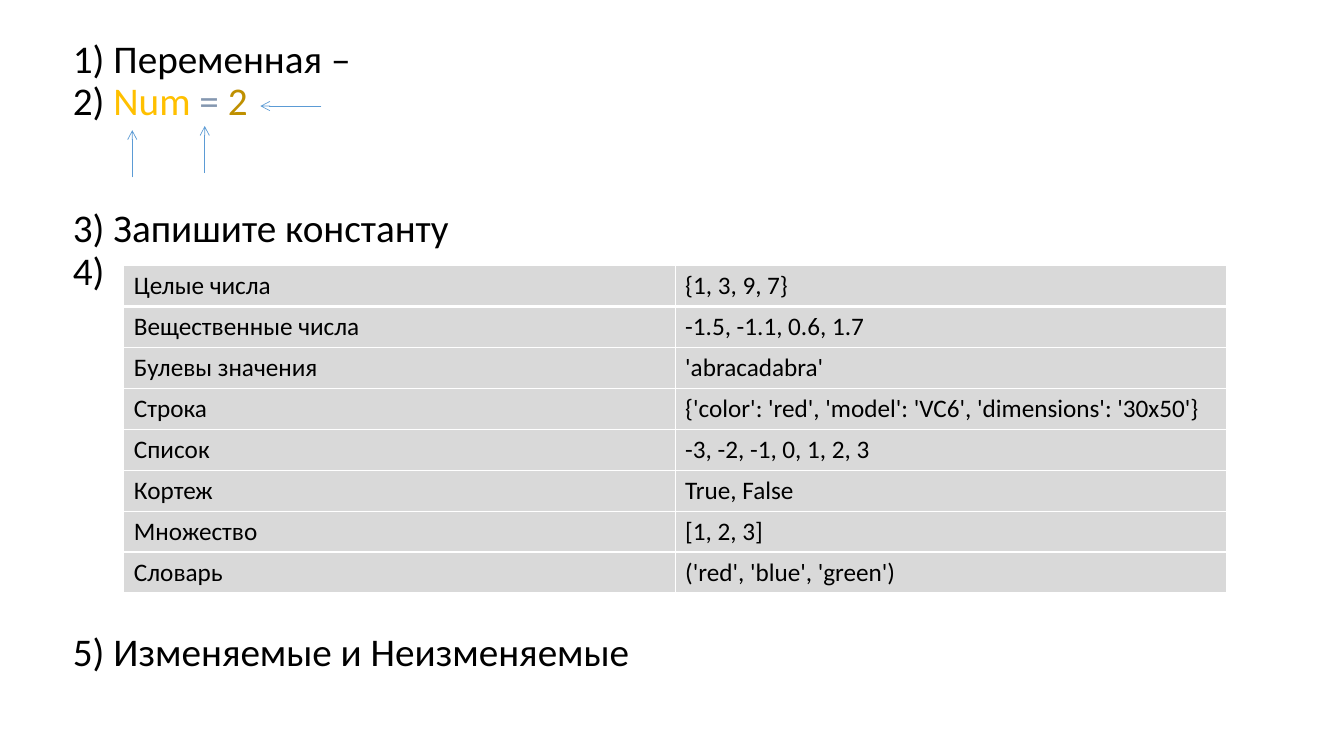
from lxml.etree import SubElement as Sub
from pptx import Presentation
from pptx.dml.color import RGBColor as RGB
from pptx.enum.shapes import MSO_CONNECTOR as Conn
from pptx.enum.text import MSO_ANCHOR as Anchor
from pptx.oxml.ns import qn
from pptx.util import Emu, Pt

SCALE = 9525
BLACK = RGB(0x00, 0x00, 0x00)
WHITE = RGB(0xFF, 0xFF, 0xFF)
GOLD = RGB(0xFF, 0xC0, 0x00)
SLATE = RGB(0x84, 0x97, 0xB0)
OCHRE = RGB(0xBF, 0x90, 0x00)
BLUE = RGB(0x5B, 0x9B, 0xD5)
GREY = RGB(0xD9, 0xD9, 0xD9)

# Each task: space before in points, then its coloured pieces
TASKS = [
    (0, [("1) Переменная –", BLACK)]),
    (0, [("2) ", BLACK), ("Num ", GOLD), ("= ", SLATE), ("2", OCHRE)]),
    (60.5, [("3) Запишите константу", BLACK)]),
    (0, [("4)", BLACK)]),
    (242, [("5) Изменяемые и Неизменяемые", BLACK)]),
]
ARROWS = [(126, 169, 126, 124), (195, 165, 195, 120), (306, 101, 248, 101)]
TYPES = [
    ("Целые числа", "{1, 3, 9, 7}"),
    ("Вещественные числа", "-1.5, -1.1, 0.6, 1.7"),
    ("Булевы значения", "'abracadabra'"),
    ("Строка", "{'color': 'red', 'model': 'VC6', 'dimensions': '30x50'}"),
    ("Список", "-3, -2, -1, 0, 1, 2, 3"),
    ("Кортеж", "True, False"),
    ("Множество", "[1, 2, 3]"),
    ("Словарь", "('red', 'blue', 'green')"),
]


def px(*nums):
    return [Emu(num * SCALE) for num in nums]


class Sheet:
    font = "Calibri"

    def __init__(self, slide):
        self.shapes = slide.shapes

    def style(self, run, size, color):
        run.font.name = self.font
        run.font.size = Pt(size)
        run.font.color.rgb = color

    def text(self, box, tasks, size):
        frame = self.shapes.add_textbox(*px(*box)).text_frame
        frame.word_wrap = True
        frame.vertical_anchor = Anchor.TOP
        for i, (gap, parts) in enumerate(tasks):
            para = frame.add_paragraph() if i else frame.paragraphs[0]
            para.line_spacing = 0.9
            para.space_before = Pt(gap)
            for words, color in parts:
                run = para.add_run()
                run.text = words
                self.style(run, size, color)

    def arrow(self, ends):
        line = self.shapes.add_connector(Conn.STRAIGHT, *px(*ends))
        line.line.color.rgb = BLUE
        line.line.width = Pt(0.5)
        Sub(line.line._get_or_add_ln(), qn("a:tailEnd"), type="arrow")
        Sub(line._element.spPr, qn("a:effectLst"))

    def edge(self, cell, side, width):
        """Draw one white cell border; side is L, R, T or B."""
        props = cell._tc.get_or_add_tcPr()
        line = Sub(props, qn("a:ln" + side), w=str(Pt(width)))
        fill = Sub(line, qn("a:solidFill"))
        Sub(fill, qn("a:srgbClr"), val=str(WHITE))

    def table(self, box, rows, size):
        table = self.shapes.add_table(len(rows), len(rows[0]), *px(*box)).table
        table.first_row = table.horz_banding = False
        for r, row in enumerate(rows):
            for c, words in enumerate(row):
                cell = table.cell(r, c)
                cell.text_frame.text = words
                self.style(cell.text_frame.paragraphs[0].runs[0], size, BLACK)
                for side in "LRTB":
                    thick = (r, side) in ((0, "B"), (1, "T"))
                    self.edge(cell, side, 3 if thick else 1)
                cell.fill.solid()
                cell.fill.fore_color.rgb = GREY


def main():
    deck = Presentation()
    deck.slide_width, deck.slide_height = px(1280, 720)
    sheet = Sheet(deck.slides.add_slide(deck.slide_layouts[6]))
    sheet.text((60, 33, 1177, 664), TASKS, 28)
    for ends in ARROWS:
        sheet.arrow(ends)
    sheet.table((118, 253, 1050, 39 * len(TYPES)), TYPES, 18)
    deck.save("out.pptx")


if __name__ == "__main__":
    main()
